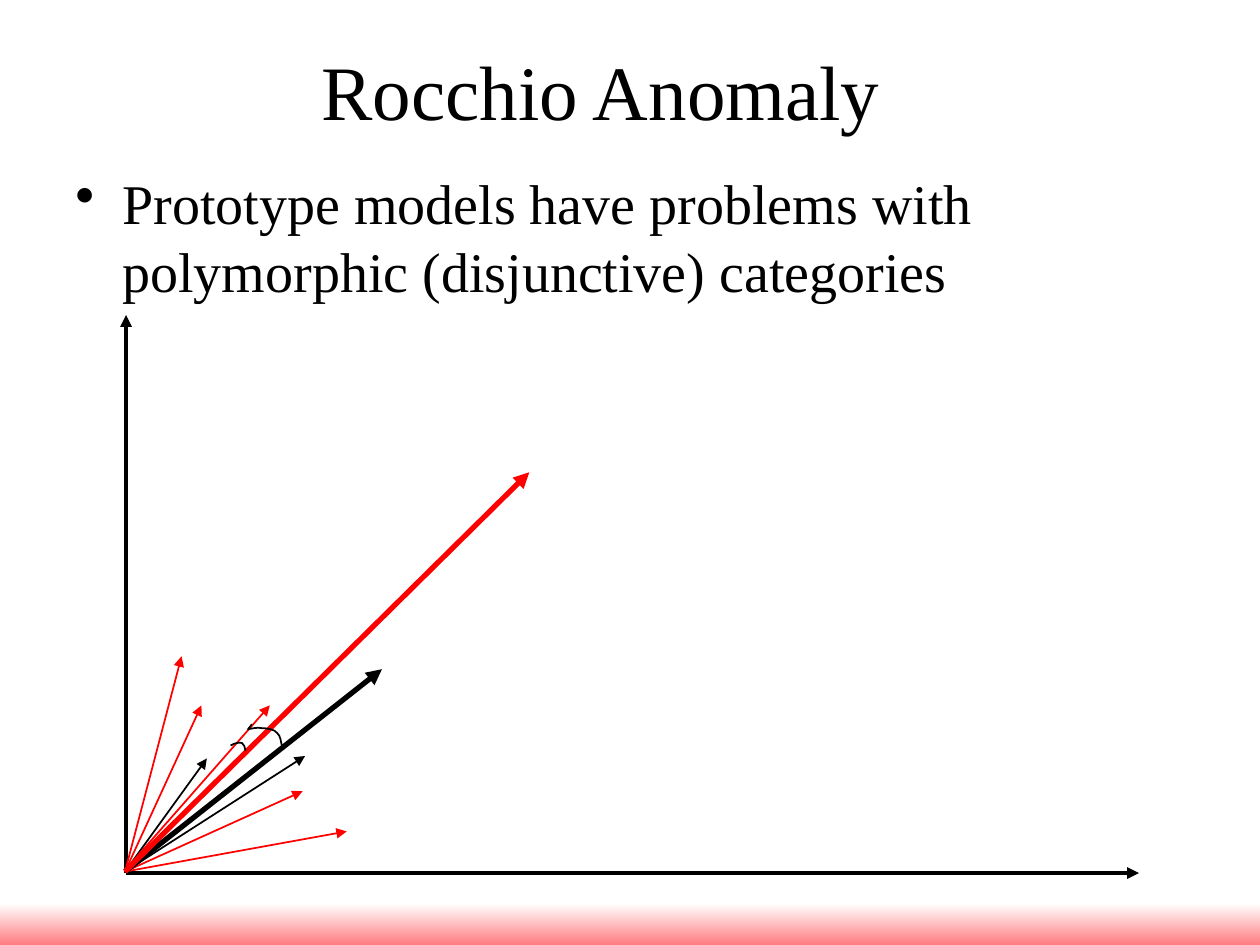
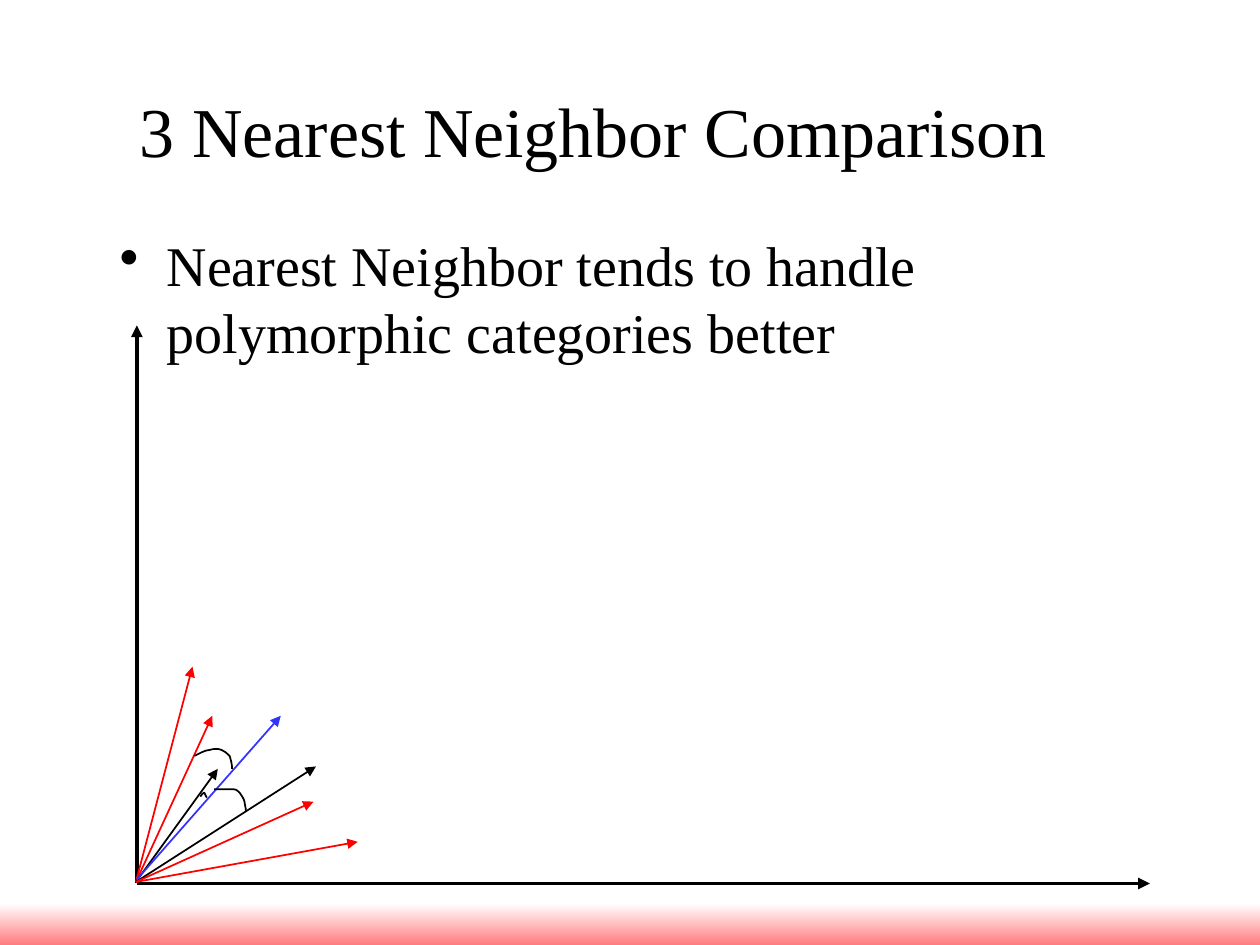
import pptx
import pptx.dml.color
import pptx.enum.shapes
import pptx.enum.text
import pptx.oxml.ns
import pptx.util
from lxml import etree
from pptx.util import Cm

COLORS = {
    "ink": "000000",
    "paper": "FFFFFF",
    "category": "FF0000",
    "query": "3333FF",
    "band": "FF7C80",
}
FONT = "Times New Roman"
PAGE_WIDTH, PAGE_HEIGHT = 25.4, 19.05
INDENT = 0.95
AXES_WIDTH, AXES_HEIGHT = 20.42, 11.25
VECTOR_START = (-0.02, 0.03)
QUERY_START = (0, 0.08)
QUERY_TIP = (2.9, 3.38)

EXAMPLES = [
    ((1.12, 4.37), "category"),
    ((1.52, 3.38), "category"),
    ((1.63, 2.31), "ink"),
    ((3.61, 2.36), "ink"),
    ((3.56, 1.65), "category"),
    ((4.45, 0.84), "category"),
]
PROTOTYPES = [((5.16, 4.11), "ink"), ((8.13, 8.08), "category")]

PROTOTYPE_ANGLES = [
    [(2.11, 2.57), (2.18, 2.62), (2.29, 2.64), (2.34, 2.62),
     (2.39, 2.59), (2.39, 2.54), (2.41, 2.46)],
    [(2.54, 3), (2.46, 2.9), (2.49, 2.9), (2.67, 2.95), (2.74, 2.92),
     (2.84, 2.92), (3, 2.9), (3.05, 2.82), (3.12, 2.77), (3.12, 2.64), (3.15, 2.54)],
]
NEIGHBOR_ANGLES = [
    [(1.28, 1.75), (1.31, 1.8), (1.33, 1.83), (1.36, 1.83),
     (1.36, 1.83), (1.38, 1.78), (1.41, 1.73)],
    [(1.56, 1.9), (1.66, 1.9), (1.74, 1.9), (1.89, 1.9), (1.94, 1.9),
     (2.02, 1.9), (2.04, 1.85), (2.07, 1.83), (2.1, 1.78), (2.15, 1.73),
     (2.17, 1.65), (2.17, 1.6), (2.2, 1.52), (2.2, 1.45)],
    [(1.16, 2.57), (1.26, 2.62), (1.38, 2.69), (1.46, 2.69), (1.56, 2.72),
     (1.64, 2.72), (1.71, 2.69), (1.77, 2.67), (1.82, 2.62), (1.87, 2.57),
     (1.89, 2.51), (1.92, 2.41), (1.92, 2.31)],
]


def color(name):
    return pptx.dml.color.RGBColor.from_string(COLORS[name])


def add_child(parent, tag, **attributes):
    return etree.SubElement(parent, pptx.oxml.ns.qn(tag), attributes)


def add_band(page):
    height = 0.84
    band = page.shapes.add_shape(
        pptx.enum.shapes.MSO_SHAPE.RECTANGLE,
        Cm(0), Cm(PAGE_HEIGHT - height), Cm(PAGE_WIDTH), Cm(height))
    band.shadow.inherit = False
    band.line.fill.background()
    band.fill.gradient()
    band.fill.gradient_angle = 270
    for stop, name, position in zip(band.fill.gradient_stops, ("paper", "band"), (0, 1)):
        stop.color.rgb = color(name)
        stop.position = position


def add_text(page, box, text, size):
    text_box = page.shapes.add_textbox(*map(Cm, box))
    frame = text_box.text_frame
    frame.word_wrap = True
    para = frame.paragraphs[0]
    span = para.add_run()
    span.text = text
    span.font.size = pptx.util.Pt(size)
    span.font.name = FONT
    span.font.color.rgb = color("ink")
    return frame, para


def add_title(page, box, text, size, right_inset=0.25):
    frame, para = add_text(page, box, text, size)
    frame.margin_right = Cm(right_inset)
    para.alignment = pptx.enum.text.PP_ALIGN.CENTER


def add_bullet(page, box, text):
    frame, para = add_text(page, box, text, 32)
    para.space_before = pptx.util.Pt(8)
    properties = para._p.get_or_add_pPr()
    properties.set("marL", str(Cm(INDENT)))
    properties.set("indent", str(-Cm(INDENT)))
    add_child(properties, "a:buChar", char="•")


def place(origin, point):
    return Cm(origin[0] + point[0]), Cm(origin[1] - point[1])


def add_arrow(page, origin, start, tip, name, weight):
    arrow = page.shapes.add_connector(
        pptx.enum.shapes.MSO_CONNECTOR.STRAIGHT, *place(origin, start), *place(origin, tip))
    arrow.line.color.rgb = color(name)
    arrow.line.width = pptx.util.Pt(weight)
    add_child(arrow.line._get_or_add_ln(), "a:tailEnd", type="triangle")
    add_child(arrow.element.spPr, "a:effectLst")


def add_angle(page, origin, points):
    spots = [place(origin, point) for point in points]
    builder = page.shapes.build_freeform(*spots[0])
    builder.add_line_segments(spots[1:], close=False)
    angle = builder.convert_to_shape()
    angle.shadow.inherit = False
    angle.fill.background()
    angle.line.color.rgb = color("ink")
    angle.line.width = pptx.util.Pt(1)
    outline = angle.element.find(".//" + pptx.oxml.ns.qn("a:path"))
    steps = outline.findall(pptx.oxml.ns.qn("a:lnTo"))
    for first in range(len(steps) % 3, len(steps), 3):
        curve = add_child(outline, "a:cubicBezTo")
        for step in steps[first:first + 3]:
            curve.append(step[0])
            outline.remove(step)


def add_vector_plot(page, box, prototypes, query_color, angles):
    left, top, width, height = box
    origin = (left, top + height)
    for tip in ((0, height), (width, 0)):
        add_arrow(page, origin, (0, 0), tip, "ink", 2.25)
    for vectors, weight in ((EXAMPLES, 1), (prototypes, 3)):
        for tip, name in vectors:
            add_arrow(page, origin, VECTOR_START, tip, name, weight)
    add_arrow(page, origin, QUERY_START, QUERY_TIP, query_color, 1)
    for points in angles:
        add_angle(page, origin, points)


def new_page(deck):
    page = deck.slides.add_slide(deck.slide_layouts[6])
    add_band(page)
    return page


def add_rocchio_page(deck):
    page = new_page(deck)
    add_title(page, (1.27, 0.76, 22.86, 3.18), "Rocchio Anomaly", 44, right_inset=1.42)
    add_bullet(page, (1.27, 3.28, 22.86, 13.74),
               "Prototype models have problems with polymorphic (disjunctive) categories")
    add_vector_plot(page, (2.54, 6.35, AXES_WIDTH, AXES_HEIGHT),
                    PROTOTYPES, "category", PROTOTYPE_ANGLES)


def add_neighbor_page(deck):
    page = new_page(deck)
    add_title(page, (1.7, 1.65, 20.52, 3.18), "3 Nearest Neighbor Comparison", 40)
    add_bullet(page, (2.16, 4.52, 21.97, 12.5),
               "Nearest Neighbor tends to handle polymorphic categories better")
    add_vector_plot(page, (2.76, 6.56, AXES_WIDTH, AXES_HEIGHT),
                    [], "query", NEIGHBOR_ANGLES)


def main():
    deck = pptx.Presentation()
    deck.slide_width = Cm(PAGE_WIDTH)
    deck.slide_height = Cm(PAGE_HEIGHT)
    add_rocchio_page(deck)
    add_neighbor_page(deck)
    deck.save("out.pptx")


if __name__ == "__main__":
    main()
